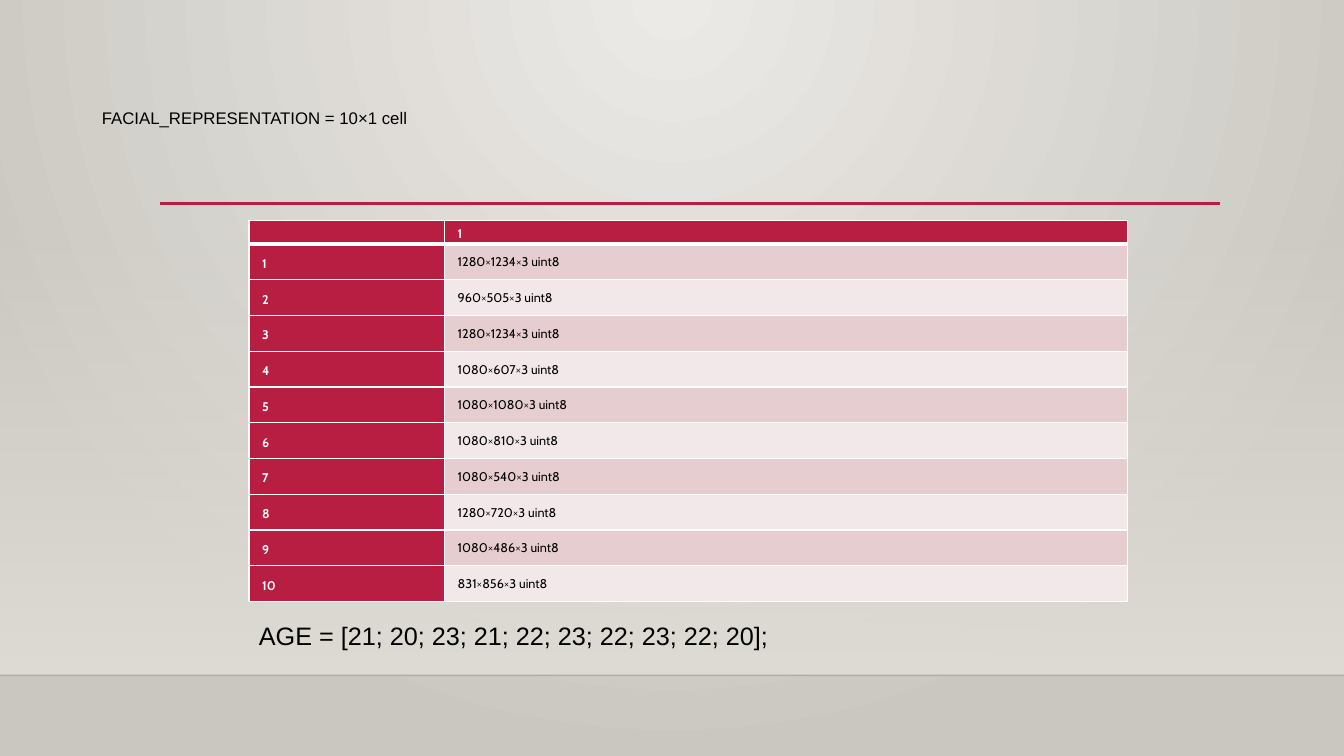
from lxml import etree
from pptx import Presentation
from pptx.dml.color import RGBColor
from pptx.enum.shapes import MSO_CONNECTOR, MSO_SHAPE
from pptx.enum.text import MSO_ANCHOR, PP_ALIGN
from pptx.oxml.ns import qn
from pptx.util import Inches, Pt

TITLE = "FACIAL_REPRESENTATION = 10×1 cell"
AGES = "AGE = [21; 20; 23; 21; 22; 23; 22; 23; 22; 20];"
SIZES = ["1280×1234×3", "960×505×3", "1280×1234×3", "1080×607×3", "1080×1080×3",
         "1080×810×3", "1080×540×3", "1280×720×3", "1080×486×3", "831×856×3"]
ROWS = [("", "1")] + [(str(n), size + " uint8") for n, size in enumerate(SIZES, 1)]

WIDE, HIGH = 13.33, 7.5
FLOOR = 6.7
LEFT, TOP = 2.47, 2.19
COLS = (1.94, 6.77)
HEAD, ROW = 0.22, 0.355

RED = RGBColor(0xB7, 0x1E, 0x42)
BANDS = (RGBColor(0xE6, 0xCD, 0xCF), RGBColor(0xF3, 0xE8, 0xE9))
WHITE = RGBColor(0xFF, 0xFF, 0xFF)
BLACK = RGBColor(0, 0, 0)
INK = RGBColor(0, 0, 1)
LIGHT = RGBColor(0xEC, 0xEA, 0xE7)
DARK = RGBColor(0xCA, 0xC7, 0xC1)
SAND = RGBColor(0xDF, 0xDB, 0xD5)

LINE, RECT = MSO_CONNECTOR.STRAIGHT, MSO_SHAPE.RECTANGLE
MIDDLE, START = MSO_ANCHOR.MIDDLE, PP_ALIGN.LEFT


def blend(fill, *tints):
    fill.gradient()
    for stop, tint in zip(fill.gradient_stops, tints):
        stop.color.rgb = tint


def fade(node, share):
    """Set the opacity, in percent, of the first colour inside node."""
    tint = next(node.iter(qn("a:srgbClr")))
    etree.SubElement(tint, qn("a:alpha"), val=str(share * 1000))


def rule(slide, x1, x2, y, tint, weight):
    line = slide.shapes.add_connector(LINE, Inches(x1), Inches(y), Inches(x2), Inches(y))
    line.line.color.rgb = tint
    line.line.width = Pt(weight)
    etree.SubElement(line._element.spPr, qn("a:effectLst"))
    return line


def style(para, face, size, tint, bold=False):
    para.alignment = START
    for run in para.runs:
        font = run.font
        font.name, font.size, font.bold = face, Pt(size), bold
        font.color.rgb = tint


def edge(cell, widths):
    """Draw white borders; widths holds points by side."""
    props = cell._tc.get_or_add_tcPr()
    for spot, (side, width) in enumerate(widths.items()):
        line = etree.Element(qn("a:ln" + side), w=str(Pt(width)))
        fill = etree.SubElement(line, qn("a:solidFill"))
        etree.SubElement(fill, qn("a:srgbClr"), val=str(WHITE))
        props.insert(spot, line)


def dress(cell, text, row, col):
    key = row == 0 or col == 0
    cell.fill.solid()
    cell.fill.fore_color.rgb = RED if key else BANDS[(row - 1) % 2]
    edge(cell, {"L": 1, "R": 1, "T": 3 if row == 1 else 1, "B": 3 if row == 0 else 1})
    cell.vertical_anchor = MIDDLE
    cell.margin_left = cell.margin_right = cell.margin_bottom = Inches(0.02)
    cell.margin_top = Inches(0.05 if key else 0.02)
    para = cell.text_frame.paragraphs[0]
    para.text = text
    style(para, "Cabin", 9, WHITE if key else BLACK, key)
    para.line_spacing, para.space_after = 1.06, Pt(0.2)
    props = para._p.get_or_add_pPr()
    props.set("marL", str(Inches(0.1)))
    props.set("indent", str(Inches(0.01)))
    if not text:
        etree.SubElement(para._p, qn("a:endParaRPr"), sz="900")


def backdrop(slide):
    blend(slide.background.fill, LIGHT, DARK)
    lin = next(slide.element.iter(qn("a:lin")))
    ring = etree.Element(qn("a:path"), path="circle")
    etree.SubElement(ring, qn("a:fillToRect"), l="43000", t="0", r="43000", b="100000")
    lin.getparent().replace(lin, ring)

    wall = slide.shapes.add_shape(RECT, 0, Inches(2.21), Inches(WIDE), Inches(FLOOR - 2.21))
    wall.shadow.inherit = False
    wall.line.fill.background()
    blend(wall.fill, SAND, SAND)
    wall.fill.gradient_angle = 270
    fade(wall._element.spPr, 0)
    fade(rule(slide, 0, WIDE, FLOOR, INK, 1)._element.spPr, 20)
    rule(slide, 1.59, 12.1, 2.02, RED, 2.5)


def grid(slide):
    high = HEAD + ROW * len(SIZES)
    table = slide.shapes.add_table(len(ROWS), len(COLS), Inches(LEFT), Inches(TOP),
                                   Inches(sum(COLS)), Inches(high)).table
    table.horz_banding = False
    for col, width in enumerate(COLS):
        table.columns[col].width = Inches(width)
    for row, texts in enumerate(ROWS):
        table.rows[row].height = Inches(ROW if row else HEAD)
        for col, text in enumerate(texts):
            dress(table.cell(row, col), text, row, col)


def label(shape, text, size, box):
    shape.left, shape.top, shape.width, shape.height = map(Inches, box)
    frame = shape.text_frame
    frame.word_wrap = True
    frame.text = text
    style(frame.paragraphs[0], "Arial", size, BLACK)
    return frame


def main():
    deck = Presentation()
    deck.slide_width, deck.slide_height = Inches(WIDE), Inches(HIGH)
    slide = deck.slides.add_slide(deck.slide_layouts[5])
    backdrop(slide)
    grid(slide)
    title = label(slide.shapes.title, TITLE, 12, (0.91, 1.02, 11.39, 0.3))
    title.vertical_anchor = MIDDLE
    label(slide.shapes.add_textbox(0, 0, 0, 0), AGES, 18, (LEFT, 6.1, 8.26, 0.4))
    deck.save("out.pptx")


if __name__ == "__main__":
    main()
